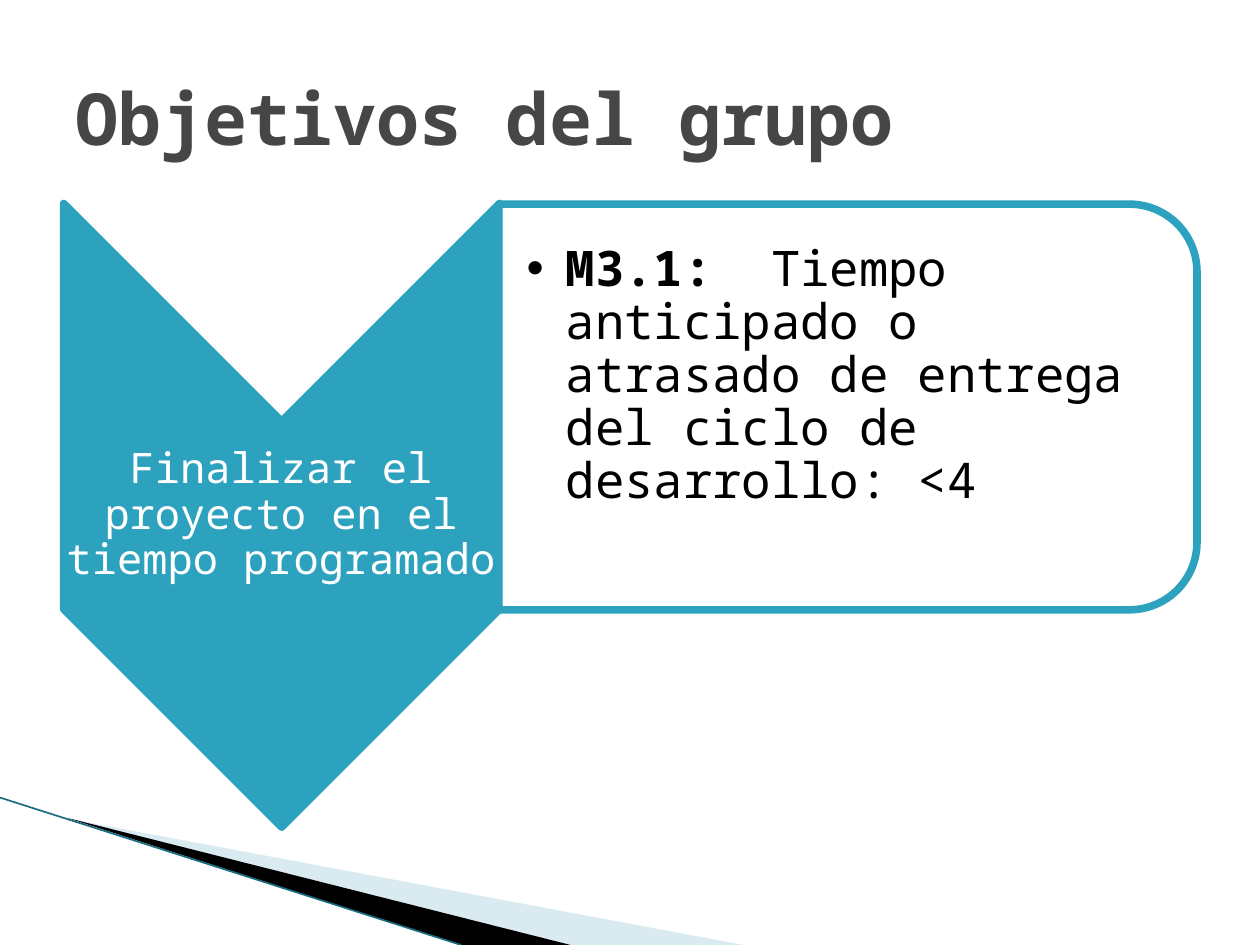
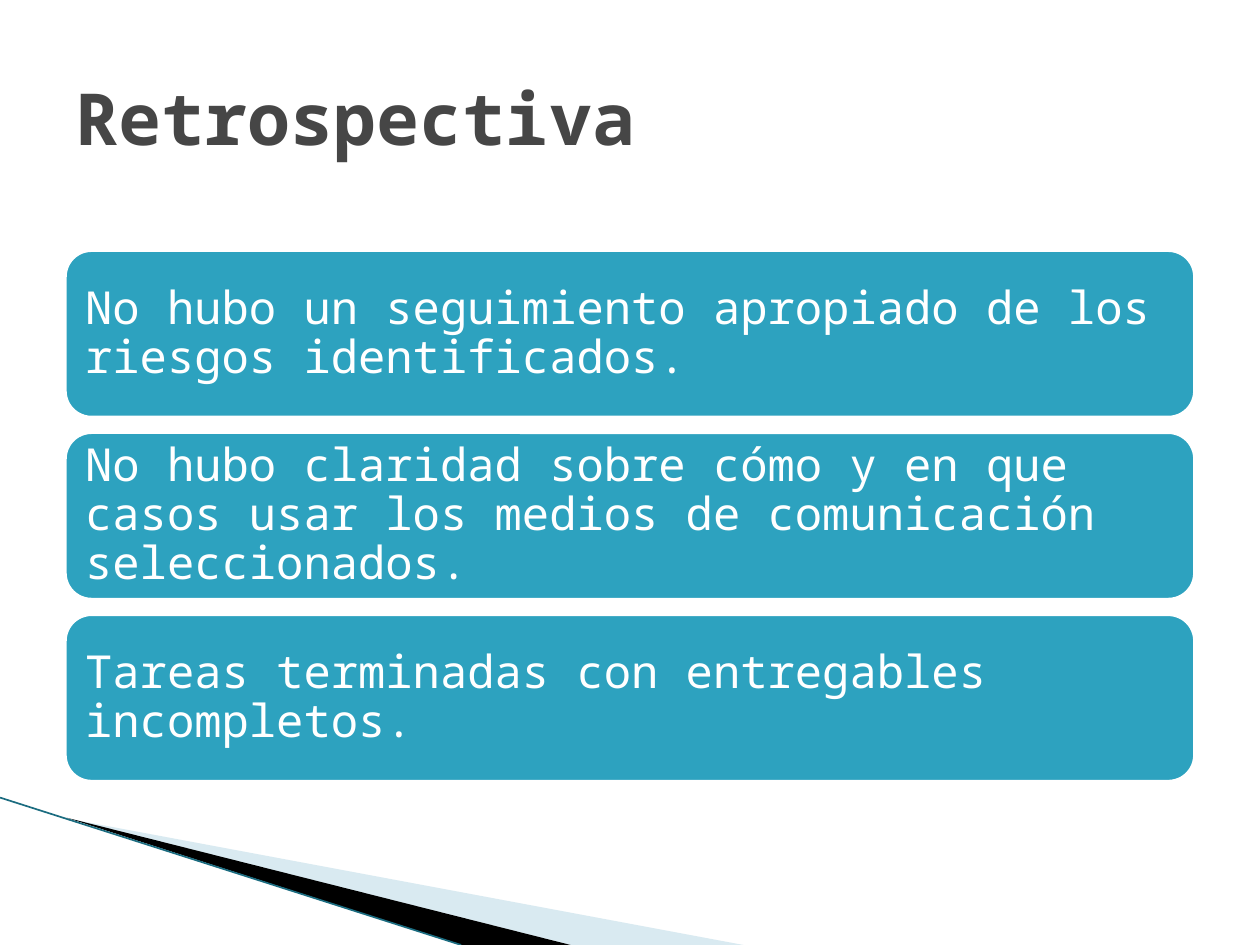
import pptx
import pptx.dml.color
import pptx.enum.shapes
import pptx.enum.text
import pptx.oxml.ns
import pptx.util
from lxml import etree

Inches = pptx.util.Inches
Pt = pptx.util.Pt
SHAPES = pptx.enum.shapes.MSO_SHAPE
ALIGN = pptx.enum.text.PP_ALIGN
qn = pptx.oxml.ns.qn

FONT = "Noto Sans Mono"
TEAL, DARK_TEAL, PALE_BLUE = "2DA2BF", "1B6C80", "A0CBDC"
WHITE, BLACK, GREY = "FFFFFF", "000000", "464646"
OUTLINE = 4.33
TITLE_ONLY = 5


def set_color(color_format, color, opacity=100):
    """Apply a hex colour, with opacity in percent."""
    color_format.rgb = pptx.dml.color.RGBColor.from_string(color)
    if opacity < 100:
        node = color_format._xFill.find(qn("a:srgbClr"))
        etree.SubElement(node, qn("a:alpha"), val=str(opacity * 1000))


def paint(shape, fill, line=None, opacity=100):
    """Fill a shape and give it a rounded outline or none."""
    shape.shadow.inherit = False
    shape.fill.solid()
    set_color(shape.fill.fore_color, fill, opacity)
    if line is None:
        shape.line.fill.background()
        return
    set_color(shape.line.color, line)
    shape.line.width = Pt(OUTLINE)
    etree.SubElement(shape.line._ln, qn("a:round"))


def add_block(slide, preset, box, fill, line, opacity=100, rotation=0):
    """Add a painted preset shape."""
    shape = slide.shapes.add_shape(preset, *map(Inches, box))
    shape.rotation = rotation
    paint(shape, fill, line, opacity)
    return shape


def add_run(paragraph, text, size, color, bold=False):
    """Add a formatted run to a paragraph."""
    run = paragraph.add_run()
    run.text = text
    formats = {"name": FONT, "size": Pt(size), "bold": bold}
    for name, value in formats.items():
        setattr(run.font, name, value)
    set_color(run.font.color, color)


def prepare_text(shape, margins, align=ALIGN.LEFT, spacing=0.9):
    """Set up a middle-anchored text frame and return its first paragraph."""
    left, top, right, bottom = map(Inches, margins)
    formats = {
        "word_wrap": True,
        "auto_size": pptx.enum.text.MSO_AUTO_SIZE.NONE,
        "vertical_anchor": pptx.enum.text.MSO_ANCHOR.MIDDLE,
        "margin_left": left,
        "margin_top": top,
        "margin_right": right,
        "margin_bottom": bottom,
    }
    for name, value in formats.items():
        setattr(shape.text_frame, name, value)
    paragraph = shape.text_frame.paragraphs[0]
    paragraph.alignment = align
    paragraph.line_spacing = spacing
    return paragraph


def add_bullet(paragraph, indent):
    """Give a paragraph a hanging round bullet."""
    properties = paragraph._p.get_or_add_pPr()
    properties.set("marL", str(Inches(indent)))
    properties.set("indent", str(-Inches(indent)))
    etree.SubElement(properties, qn("a:buFont"), typeface="Arial")
    etree.SubElement(properties, qn("a:buChar"), char="•")


def add_wedge(slide, points, fill, opacity=100):
    """Add a filled triangle of the corner decoration."""
    corners = [tuple(map(Inches, point)) for point in points]
    builder = slide.shapes.build_freeform(*corners[0], scale=1.0)
    builder.add_line_segments(corners[1:], close=True)
    shape = builder.convert_to_shape()
    paint(shape, fill, opacity=opacity)
    return shape


def add_edge(slide, start, end, color, width):
    """Add a straight line without shadow."""
    connector = slide.shapes.add_connector(
        pptx.enum.shapes.MSO_CONNECTOR.STRAIGHT, *map(Inches, start + end))
    set_color(connector.line.color, color)
    connector.line.width = Pt(width)
    etree.SubElement(connector.element.spPr, qn("a:effectLst"))
    return connector


def decorate_layout(slide):
    """Draw the corner decoration and move it to the shared layout."""
    decoration = [
        add_wedge(slide, [(0.55, 6.5), (5.9, 7.5), (4.53, 7.5)], PALE_BLUE, 40),
        add_wedge(slide, [(0.53, 6.49), (4.53, 7.5), (3.66, 7.5)], BLACK),
        add_edge(slide, (0, 6.33), (3.66, 7.5), DARK_TEAL, 0.95),
    ]
    for number, shape in enumerate(decoration, start=101):
        shape.element.xpath(".//p:cNvPr")[0].set("id", str(number))
        slide.slide_layout.shapes.element.append(shape.element)


def add_titled_slide(presentation, title):
    """Add a slide with the common title style."""
    slide = presentation.slides.add_slide(presentation.slide_layouts[TITLE_ONLY])
    shape = slide.shapes.title
    box = {"left": 0.5, "top": 0.3, "width": 9, "height": 1.25}
    for name, value in box.items():
        setattr(shape, name, Inches(value))
    paragraph = prepare_text(shape, (0.1, 0.05, 0.1, 0.05), spacing=1.0)
    add_run(paragraph, title, 41, GREY, bold=True)
    return slide


def add_objective(slide, goal, label, measure):
    """Add a downward chevron with a goal and a panel with its measure."""
    add_block(slide, SHAPES.CHEVRON, (-0.24, 2.36, 4.95, 3.46), TEAL, TEAL,
              rotation=90)
    goal_box = slide.shapes.add_textbox(*map(Inches, (0.5, 3.35, 3.46, 1.48)))
    paragraph = prepare_text(goal_box, (0.02,) * 4, ALIGN.CENTER)
    add_run(paragraph, goal, 24, WHITE)

    add_block(slide, SHAPES.ROUND_2_SAME_RECTANGLE, (5.12, 0.46, 3.22, 5.54),
              WHITE, TEAL, opacity=90, rotation=90)
    measure_box = slide.shapes.add_textbox(*map(Inches, (3.96, 1.78, 5.38, 2.9)))
    paragraph = prepare_text(measure_box, (0.22, 0.02, 0.02, 0.5))
    add_bullet(paragraph, 0.31)
    add_run(paragraph, label, 28, BLACK, bold=True)
    add_run(paragraph, measure, 28, BLACK)


def add_cards(slide, texts):
    """Stack equal rounded cards, one for each text."""
    top, height, pitch = 1.97, 1.36, 1.445
    for index, text in enumerate(texts):
        box = (0.5, top + index * pitch, 9, height)
        card = add_block(slide, SHAPES.ROUNDED_RECTANGLE, box, TEAL, WHITE)
        add_run(prepare_text(card, (0.11,) * 4), text, 26, WHITE)


def main():
    """Build and save the presentation."""
    presentation = pptx.Presentation()
    presentation.slide_width = Inches(10)
    presentation.slide_height = Inches(7.5)

    objectives = add_titled_slide(presentation, "Objetivos del grupo")
    decorate_layout(objectives)
    add_objective(
        objectives,
        "Finalizar el proyecto en el tiempo programado",
        "M3.1:  ",
        "Tiempo anticipado o atrasado de entrega del ciclo de desarrollo: <4")

    retrospective = add_titled_slide(presentation, "Retrospectiva")
    add_cards(retrospective, [
        "No hubo un seguimiento apropiado de los riesgos identificados.",
        "No hubo claridad sobre cómo y en que casos usar los medios de "
        "comunicación seleccionados.",
        "Tareas terminadas con entregables incompletos.",
    ])
    presentation.save("out.pptx")


main()
